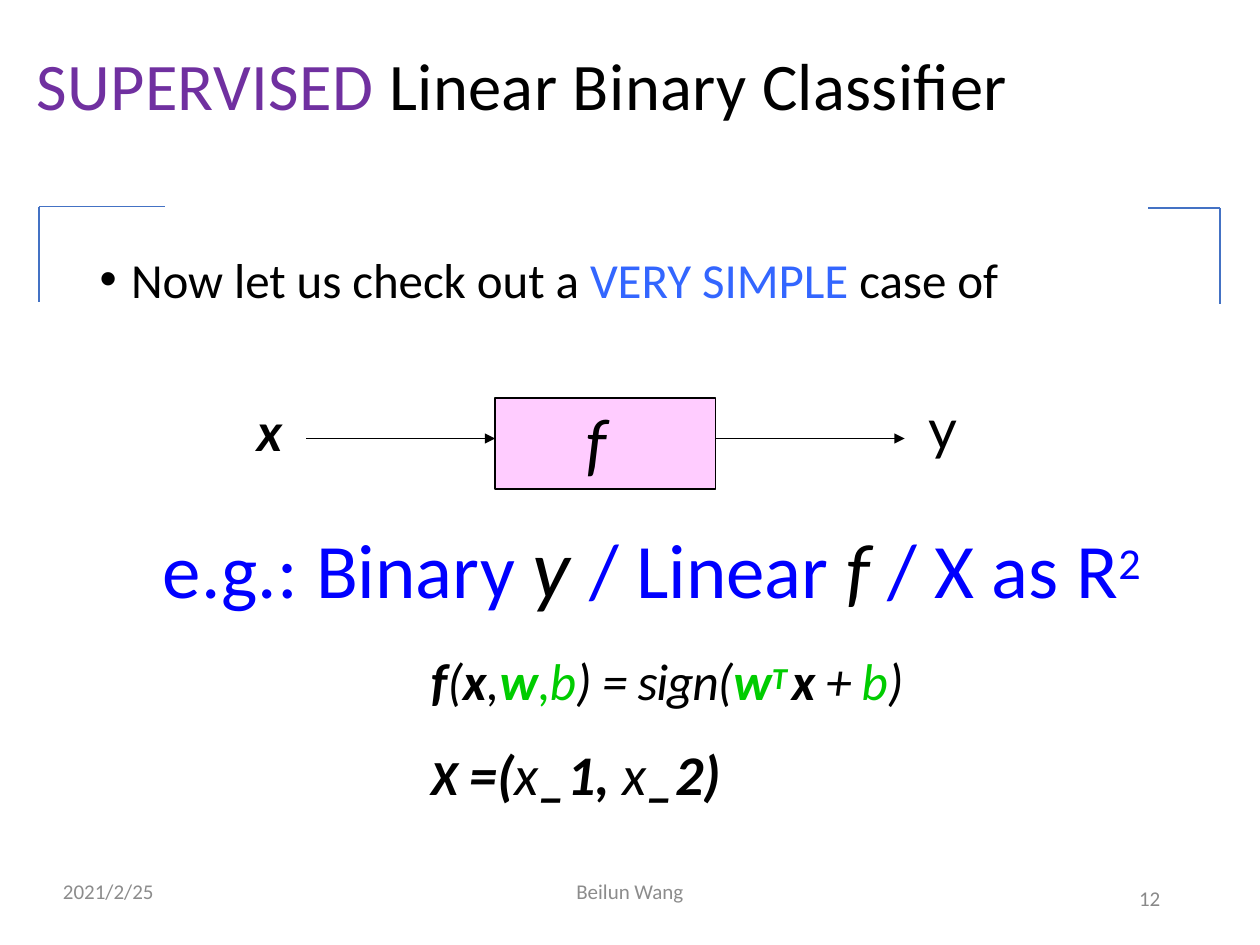
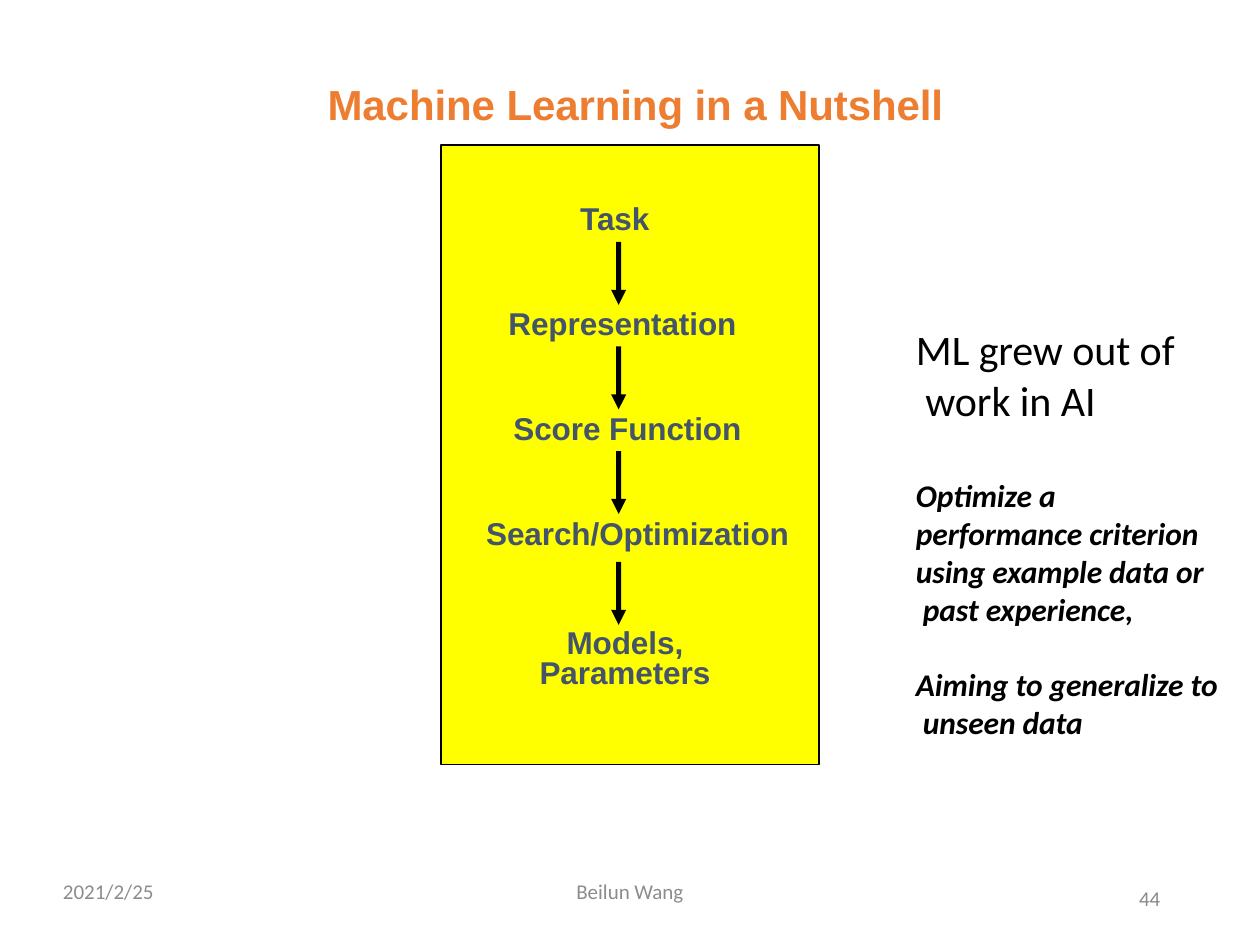
"""Build two lecture slides on supervised linear classification and machine learning."""
from lxml import etree
from pptx import Presentation
from pptx.dml.color import RGBColor
from pptx.enum.shapes import MSO_CONNECTOR, MSO_SHAPE
from pptx.enum.text import MSO_ANCHOR, MSO_AUTO_SIZE, PP_ALIGN
from pptx.oxml.ns import qn
from pptx.util import Inches, Pt

LEFT, CENTER = PP_ALIGN.LEFT, PP_ALIGN.CENTER
TOP = MSO_ANCHOR.TOP
NO_AUTOFIT = MSO_AUTO_SIZE.NONE
STRAIGHT = MSO_CONNECTOR.STRAIGHT
RECTANGLE, DOWN_ARROW = MSO_SHAPE.RECTANGLE, MSO_SHAPE.DOWN_ARROW
TITLE_ONLY = 5

COLORS = {
    "black": "000000",
    "purple": "7030A0",
    "orange": "ED7D31",
    "bracket": "4472C4",
    "highlight": "3366FF",
    "blue": "0000FF",
    "green": "00CC00",
    "pink": "FFCCFF",
    "yellow": "FFFF00",
    "slate": "44546A",
    "footer": "8C8C8C",
    "number": "898989",
}


def color_of(name):
    """Return the named colour."""
    return RGBColor.from_string(COLORS[name])


def style_font(font, size=None, name=None, color=None, bold=None, italic=None):
    """Apply the given font properties and leave the others alone."""
    if size is not None:
        font.size = Pt(size)
    if name is not None:
        font.name = name
    if color is not None:
        font.color.rgb = color_of(color)
    if bold is not None:
        font.bold = bold
    if italic is not None:
        font.italic = italic


def add_run(paragraph, text, spacing=0, baseline=0, **style):
    """Append a run with its own letter spacing, baseline and font changes."""
    run = paragraph.add_run()
    run.text = text
    style_font(run.font, **style)
    properties = run._r.get_or_add_rPr()
    if spacing:
        properties.set("spc", str(round(spacing * 100)))
    if baseline:
        properties.set("baseline", str(baseline * 1000))


def set_indent(paragraph, left=0, hanging=0, right=0):
    """Set the paragraph margins in inches."""
    properties = paragraph._p.get_or_add_pPr()
    properties.set("marL", str(Inches(left)))
    properties.set("marR", str(Inches(right)))
    properties.set("indent", str(Inches(-hanging)))


def add_bullet(paragraph, left, hanging):
    """Give the paragraph a round bullet and a tab stop at its text."""
    set_indent(paragraph, left, hanging)
    properties = paragraph._p.get_or_add_pPr()
    etree.SubElement(properties, qn("a:buFont"), typeface="Arial")
    etree.SubElement(properties, qn("a:buChar"), char="•")
    tabs = etree.SubElement(properties, qn("a:tabLst"))
    etree.SubElement(tabs, qn("a:tab"), pos=str(Inches(left)), algn="l")


def write(paragraph, content, spacing=0, align=LEFT, **style):
    """Fill a paragraph from plain text with line breaks or a list of runs."""
    paragraph.alignment = align
    style_font(paragraph.font, **{"name": "Calibri", "color": "black", **style})
    if isinstance(content, str):
        for index, line in enumerate(content.split("\n")):
            if index:
                paragraph.add_line_break()
            add_run(paragraph, line, spacing)
    else:
        for text, changes in content:
            add_run(paragraph, text, **{"spacing": spacing, **changes})


def prepare_frame(shape, top=0.0, right=0.0):
    """Set the insets of a wrapping, top-anchored text frame and return it."""
    frame = shape.text_frame
    frame.word_wrap = True
    frame.auto_size = NO_AUTOFIT
    frame.vertical_anchor = TOP
    frame.margin_left = frame.margin_bottom = 0
    frame.margin_top, frame.margin_right = Inches(top), Inches(right)
    return frame


def add_text(slide, box, top=0.01):
    """Add a text box and return its frame."""
    shape = slide.shapes.add_textbox(*map(Inches, box))
    return prepare_frame(shape, top)


def add_title(slide, box, content, **style):
    """Move the title placeholder and write the title."""
    title = slide.shapes.title
    title.left, title.top, title.width, title.height = map(Inches, box)
    frame = prepare_frame(title, 0.02)
    write(frame.paragraphs[0], content, **style)


def add_filled(slide, kind, box, fill, line_width=0):
    """Add a filled preset shape, with a black outline if it has a width."""
    shape = slide.shapes.add_shape(kind, *map(Inches, box))
    shape.shadow.inherit = False
    shape.fill.solid()
    shape.fill.fore_color.rgb = color_of(fill)
    if line_width:
        shape.line.color.rgb = color_of("black")
        shape.line.width = Pt(line_width)
    else:
        shape.line.fill.background()
    return shape


def add_line(slide, points, color, head=None):
    """Add a thin straight line, with an arrowhead of the given size if any."""
    line = slide.shapes.add_connector(STRAIGHT, *map(Inches, points))
    line.line.color.rgb = color_of(color)
    line.line.width = Pt(1)
    properties = line._element.spPr
    if head:
        outline = properties.find(qn("a:ln"))
        etree.SubElement(outline, qn("a:tailEnd"), type="triangle", w=head, len=head)
    etree.SubElement(properties, qn("a:effectLst"))


def add_footer(slide, number):
    """Add the date, the author and the slide number."""
    items = (
        ((0.5, 6.97, 2.3, 0.2), "2021/2/25", "footer", LEFT),
        ((9.04, 7.03, 0.25, 0.23), str(number), "number", LEFT),
        ((3.4, 6.97, 3.2, 0.2), "Beilun Wang", "footer", CENTER),
    )
    for box, text, color, align in items:
        frame = add_text(slide, box, top=0)
        write(frame.paragraphs[0], text, align=align, size=12, color=color)


def add_function_diagram(slide):
    """Draw the input, the function box and the output."""
    function_box = add_filled(slide, RECTANGLE, (3.93, 3.16, 1.75, 0.72), "pink", 1)
    frame = prepare_frame(function_box, 0.03, right=0.14)
    write(frame.paragraphs[0], "f", align=CENTER, size=38, name="Lato", italic=True)
    for start in (2.43, 5.68):
        add_line(slide, (start, 3.48, start + 1.5, 3.48), "black", "med")
    source = add_text(slide, (2.04, 3.16, 0.26, 0.52))
    write(source.paragraphs[0], "x", size=29.5, name="Lato", bold=True, italic=True)
    target = add_text(slide, (7.37, 3.11, 0.25, 0.56))
    write(target.paragraphs[0], "y", size=32, name="Lato")


def add_formulas(slide):
    """Write the example heading and the two formulas."""
    frame = add_text(slide, (1.25, 3.64, 7.86, 2.77), top=0.44)
    heading = frame.paragraphs[0]
    set_indent(heading, 0.04)
    variable = {"color": "black", "italic": True}
    write(heading, [
        ("e.g.: ", {"spacing": 0.1}),
        ("Binary ", {}),
        ("y ", {**variable, "size": 48}),
        ("/ Linear ", {}),
        ("f ", variable),
        ("/ X as R", {}),
        ("2", {"size": 43.5, "baseline": 25}),
    ], size=44, color="blue")

    bold, green = {"bold": True}, {"color": "green"}
    classifier = frame.add_paragraph()
    set_indent(classifier, 2.17)
    classifier.space_before = Pt(19.2)
    write(classifier, [
        ("f", bold),
        ("(", {}),
        ("x", bold),
        (",", {}),
        ("w", {**bold, **green}),
        (",b", green),
        (") ", {}),
        ("= ", {"spacing": -1.1}),
        ("sign(", {}),
        ("w", {**bold, **green}),
        ("T ", {**bold, **green, "size": 30, "spacing": -1.2, "baseline": 22}),
        ("x ", bold),
        ("+ ", {"spacing": -1.1}),
        ("b", green),
        (")", {}),
    ], spacing=-0.75, size=29.5, italic=True)

    vector = frame.add_paragraph()
    set_indent(vector, 2.17)
    vector.space_before = Pt(16.1)
    write(vector, [
        ("X ", {**bold, "size": 28}),
        ("=(", bold),
        ("x", {}),
        ("_1, ", bold),
        ("x", {}),
        ("_2)", bold),
    ], spacing=0.05, size=32, italic=True)


def build_classifier_slide(presentation):
    """Build the slide on the linear binary classifier."""
    slide = presentation.slides.add_slide(presentation.slide_layouts[TITLE_ONLY])
    add_title(slide, (0.29, 0.33, 8.72, 0.65), [
        ("SUPERVISED", {"color": "purple"}),
        (" Linear Binary Classifier", {}),
    ], spacing=0.2, size=38)
    for side, inner, top in ((0.31, 1.31, 1.64), (9.68, 9.11, 1.65)):
        add_line(slide, (side, top, side, top + 0.76), "bracket")
        add_line(slide, (side, top, inner, top), "bracket")
    paragraph = add_text(slide, (0.78, 1.97, 7.19, 0.49)).paragraphs[0]
    add_bullet(paragraph, 0.26, 0.25)
    write(paragraph, [
        ("Now let us check out a ", {}),
        ("VERY SIMPLE ", {"color": "highlight"}),
        ("case of", {}),
    ], spacing=-0.03, size=28)
    add_function_diagram(slide)
    add_formulas(slide)
    add_footer(slide, 12)


def add_pipeline(slide):
    """Draw the yellow panel with its steps and arrows."""
    panel = add_filled(slide, RECTANGLE, (3.5, 1.15, 3, 4.92), "yellow", 0.75)
    frame = prepare_frame(panel, 0.49)
    steps = (
        ("Task", -0.12, 0),
        ("Representation", -0.06, 43),
        ("Score Function", -0.02, 43),
        ("Search/Optimization", 0.06, 43),
        ("Models,\nParameters", -0.04, 45.5),
    )
    for index, (text, shift, before) in enumerate(steps):
        paragraph = frame.add_paragraph() if index else frame.paragraphs[0]
        set_indent(paragraph, left=max(2 * shift, 0), right=max(-2 * shift, 0))
        paragraph.line_spacing = Pt(17)
        if before:
            paragraph.space_before = Pt(before)
        write(paragraph, text, spacing=-0.05, align=CENTER,
              size=18, name="Arial", color="slate", bold=True)
    for top in (1.92, 2.75, 3.58, 4.46):
        arrow = add_filled(slide, DOWN_ARROW, (4.85, top, 0.12, 0.5), "black")
        arrow.adjustments[0], arrow.adjustments[1] = 0.33, 1


def build_nutshell_slide(presentation):
    """Build the slide that sums up machine learning."""
    slide = presentation.slides.add_slide(presentation.slide_layouts[TITLE_ONLY])
    add_title(slide, (2.6, 0.6, 4.93, 0.43), "Machine Learning in a Nutshell",
              spacing=-0.05, size=24, name="Arial", color="orange", bold=True)
    add_pipeline(slide)
    emphasis = {"size": 18, "bold": True, "italic": True}
    remarks = (
        (2.56, 0.83, "ML grew out of\n work in AI", {"size": 24}),
        (3.77, 1.23, "Optimize a\nperformance criterion\nusing example data or\n"
                     " past experience,", emphasis),
        (5.27, 0.63, "Aiming to generalize to\n unseen data", emphasis),
    )
    for top, height, text, style in remarks:
        frame = add_text(slide, (7.27, top, 2.5, height))
        write(frame.paragraphs[0], text, spacing=-0.05, **style)
    add_footer(slide, 44)


def main():
    """Build and save the presentation."""
    presentation = Presentation()
    presentation.slide_width, presentation.slide_height = Inches(10), Inches(7.5)
    build_classifier_slide(presentation)
    build_nutshell_slide(presentation)
    presentation.save("out.pptx")


if __name__ == "__main__":
    main()
